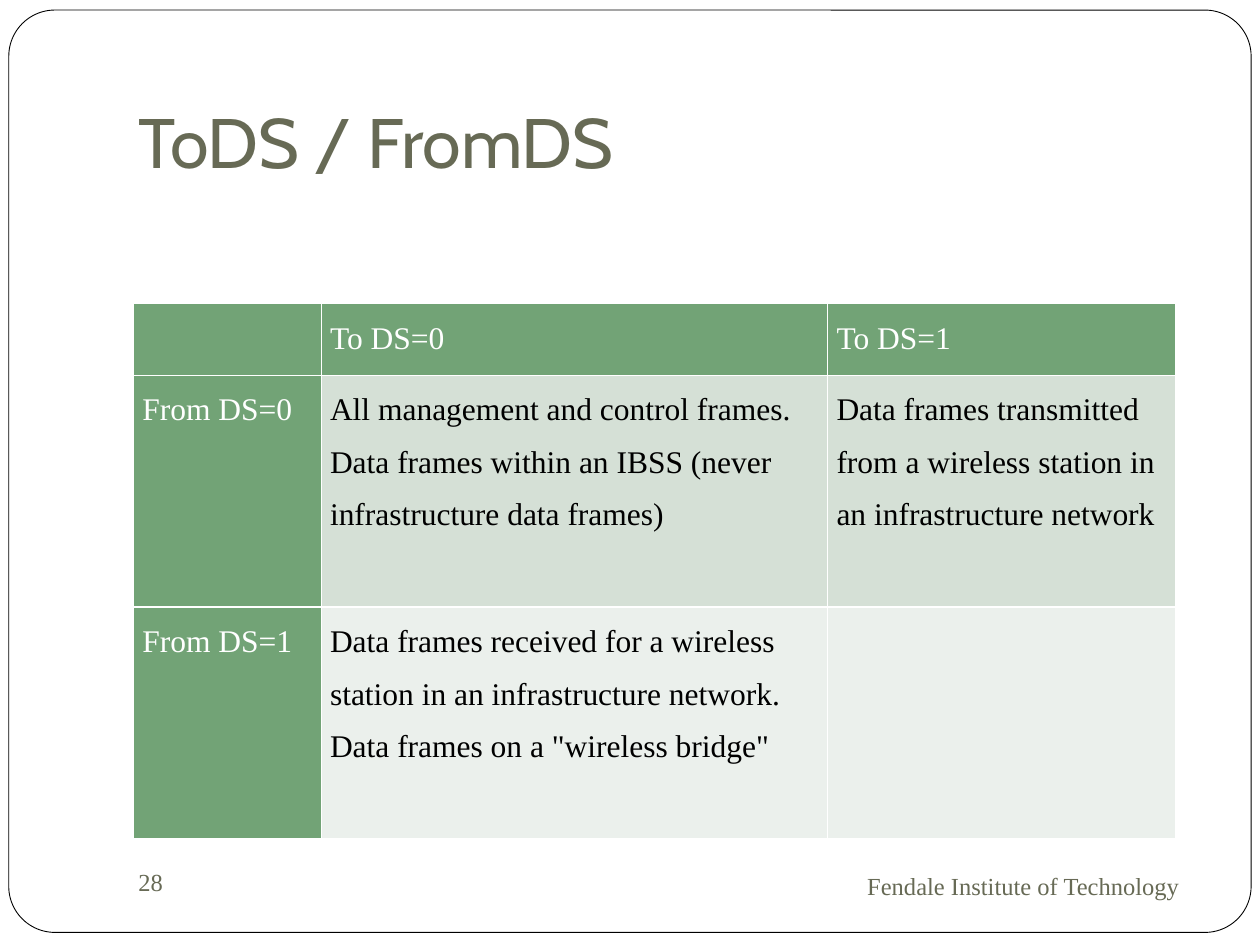
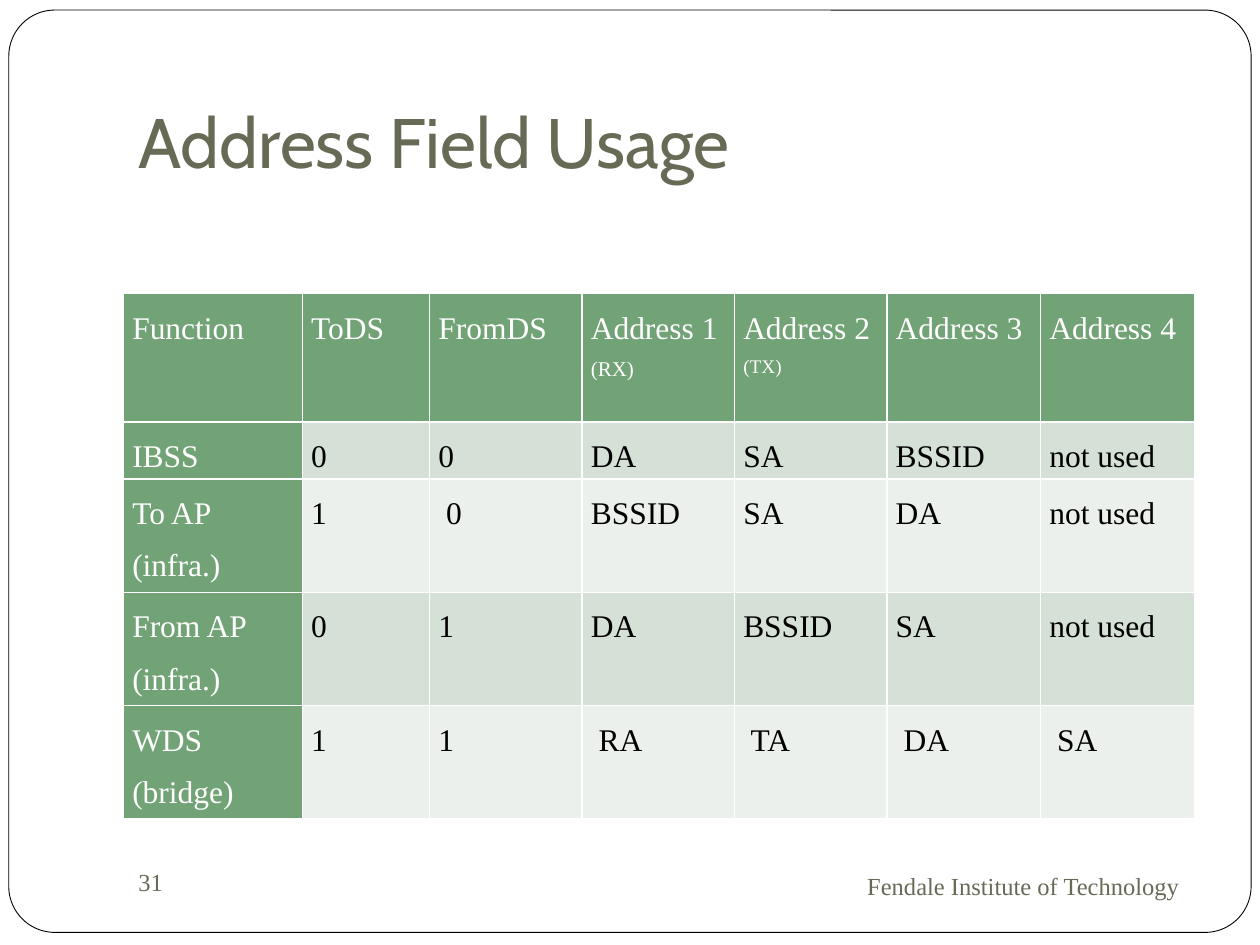
from dataclasses import dataclass

from lxml import etree
from pptx import Presentation
from pptx import util as u
from pptx.dml.color import RGBColor
from pptx.enum import shapes, text
from pptx.oxml.ns import qn

PX = u.Inches(1) // 100  # one px is a hundredth of an inch


@dataclass(frozen=True)
class Theme:
    white: str = "FFFFFF"
    black: str = "000000"
    olive: str = "676A55"
    green: str = "72A376"
    bands: tuple = ("D5E0D6", "EBF0EC")
    heading: str = "Cabin"
    body: str = "Times New Roman"
    title_size: int = 40
    cell_size: int = 18
    footer_size: int = 14


def px(*lengths):
    return [u.Emu(length * PX) for length in lengths]


def rgb(code):
    return RGBColor.from_string(code)


class SlideBuilder:
    def __init__(self, deck, theme):
        self.deck = deck
        self.theme = theme
        self.page = None

    def start_page(self, title, number):
        """Add a slide with the shared frame, title and footers."""
        self.page = self.deck.slides.add_slide(self.deck.slide_layouts[5])
        self.title(title)
        self.frame()
        self.footer("Fendale Institute of Technology", (675, 677, 271, 52),
                    text.PP_ALIGN.RIGHT)
        self.footer(str(number), (100, 675, 433, 50), text.PP_ALIGN.LEFT)

    def style(self, para, name, size, color):
        para.font.name = name
        para.font.size = u.Pt(size)
        para.font.bold = False
        para.font.color.rgb = rgb(color)

    def title(self, words):
        box = self.page.shapes.title
        box.left, box.top, box.width, box.height = px(100, 30, 850, 125)
        frame = box.text_frame
        frame.text = words
        frame.auto_size = text.MSO_AUTO_SIZE.NONE
        frame.vertical_anchor = text.MSO_ANCHOR.BOTTOM
        frame.margin_left, frame.margin_top = px(10, 5)
        frame.margin_right, frame.margin_bottom = px(10, 10)
        para = frame.paragraphs[0]
        para.alignment = text.PP_ALIGN.LEFT
        self.style(para, self.theme.heading, self.theme.title_size, self.theme.olive)

    def frame(self):
        """Draw the rounded page outline behind the title."""
        outline = self.page.shapes.add_shape(
            shapes.MSO_SHAPE.ROUNDED_RECTANGLE, *px(7, 8, 986, 732))
        outline.adjustments[0] = 0.05
        outline.shadow.inherit = False
        outline.fill.solid()
        outline.fill.fore_color.rgb = rgb(self.theme.white)
        outline.line.color.rgb = rgb(self.theme.black)
        outline.line.width = u.Pt(0.5)
        self.page.shapes.title.element.addprevious(outline.element)

    def footer(self, words, place, alignment):
        frame = self.page.shapes.add_textbox(*px(*place)).text_frame
        frame.word_wrap = True
        frame.vertical_anchor = text.MSO_ANCHOR.MIDDLE
        para = frame.paragraphs[0]
        para.text = words
        para.alignment = alignment
        self.style(para, self.theme.body, self.theme.footer_size, self.theme.olive)

    def table(self, left, top, widths, heights, rows):
        grid = self.page.shapes.add_table(
            len(rows), len(widths), *px(left, top, sum(widths), sum(heights))).table
        grid.first_row = grid.horz_banding = False
        for column, width in zip(grid.columns, px(*widths)):
            column.width = width
        for row, height in zip(grid.rows, px(*heights)):
            row.height = height
        for r, row in enumerate(rows):
            for c, content in enumerate(row):
                is_header = r == 0 or c == 0
                fill = self.theme.green if is_header else self.theme.bands[(r - 1) % 2]
                color = self.theme.white if is_header else self.theme.black
                self.cell(grid.cell(r, c), content, fill, color)

    def cell(self, cell, content, fill, color):
        """Fill a cell with a string, or with (string, small note, note size)."""
        cell.margin_left, cell.margin_right = px(7, 7)
        cell.margin_top = cell.margin_bottom = 0
        cell.fill.solid()
        cell.fill.fore_color.rgb = rgb(fill)
        self.borders(cell)
        para = cell.text_frame.paragraphs[0]
        para.line_spacing = 1.5
        self.style(para, self.theme.body, self.theme.cell_size, color)
        if isinstance(content, str):
            para.text = content
        else:
            words, note, note_size = content
            para.add_run().text = words + " "
            span = para.add_run()
            span.text = note
            span.font.size = u.Pt(note_size)

    def borders(self, cell):
        properties = cell._tc.get_or_add_tcPr()
        for place, side in enumerate(("lnL", "lnR", "lnT", "lnB")):
            line = etree.Element(qn(f"a:{side}"), w=str(u.Pt(1)))
            solid = etree.SubElement(line, qn("a:solidFill"))
            etree.SubElement(solid, qn("a:srgbClr"), val=self.theme.white)
            properties.insert(place, line)


def main():
    deck = Presentation()
    deck.slide_width, deck.slide_height = px(1000, 750)
    builder = SlideBuilder(deck, Theme())

    builder.start_page("ToDS / FromDS", 28)
    builder.table(106, 241, [149, 402, 276], [57, 184, 184], [
        ["", "To DS=0", "To DS=1"],
        ["From DS=0",
         "All management and control frames. Data frames within an IBSS "
         "(never infrastructure data frames)",
         "Data frames transmitted from a wireless station in an infrastructure network"],
        ["From DS=1",
         "Data frames received for a wireless station in an infrastructure network. "
         'Data frames on a "wireless bridge"',
         ""],
    ])

    builder.start_page("Address Field Usage", 31)
    builder.table(98, 233, [142, 101] + [121] * 3 + [122] * 2, [102, 42] + [90] * 3, [
        ["Function", "ToDS", "FromDS", ("Address 1", "(RX)", 12),
         ("Address 2", "(TX)", 11), "Address 3", "Address 4"],
        ["IBSS", "0", "0", "DA", "SA", "BSSID", "not used"],
        ["To AP (infra.)", "1", " 0", "BSSID", "SA", "DA", "not used"],
        ["From AP (infra.)", "0", "1", "DA", "BSSID", "SA", "not used"],
        ["WDS (bridge)", "1", "1", " RA", " TA", " DA", " SA"],
    ])

    deck.save("out.pptx")


if __name__ == "__main__":
    main()
